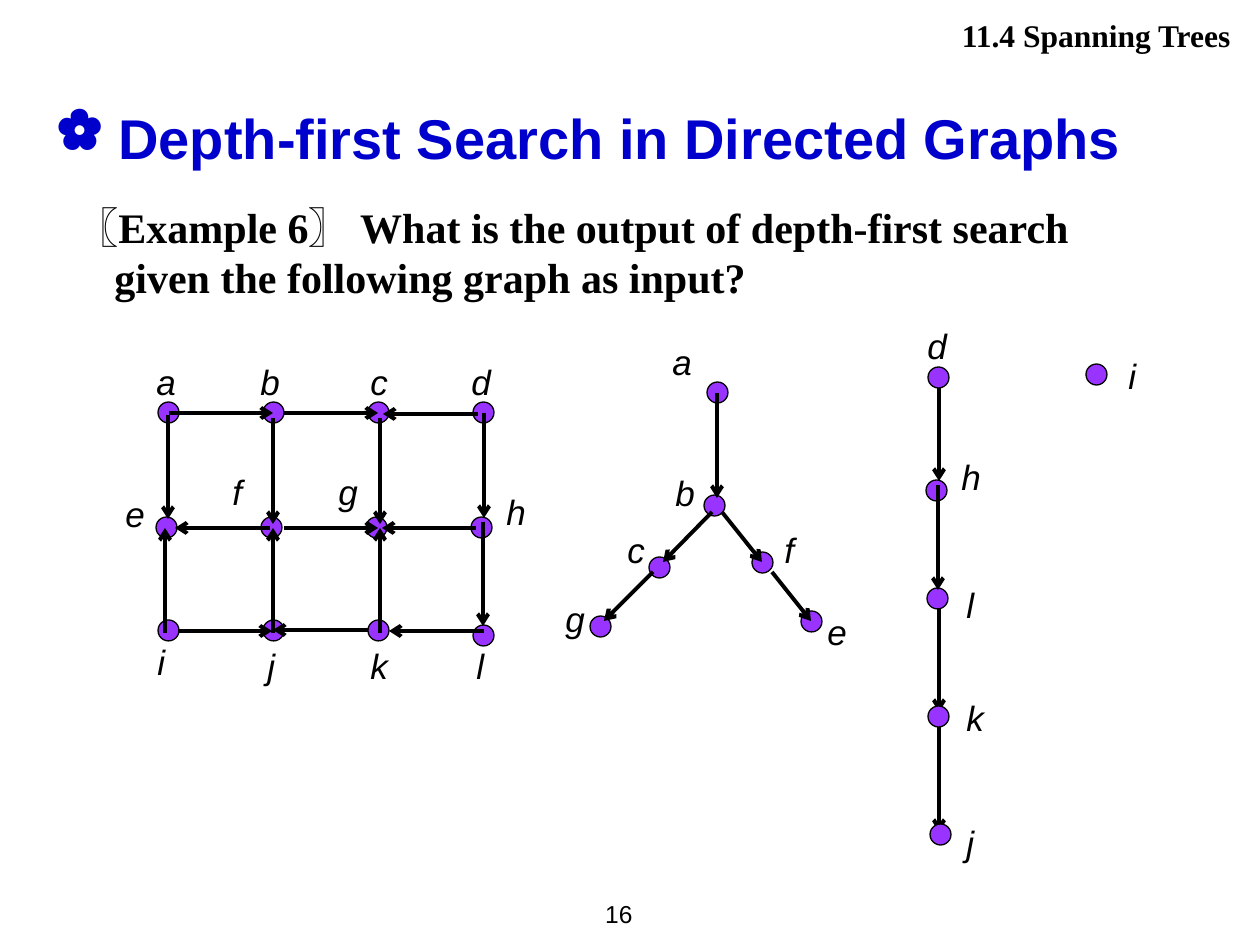
from lxml import etree
from pptx import Presentation
from pptx import util as u
from pptx.dml.color import RGBColor
from pptx.enum import shapes, text
from pptx.oxml import ns

PX = 914400 / 126
BLACK = RGBColor(0x00, 0x00, 0x00)
BLUE = RGBColor(0x00, 0x00, 0xCC)
PURPLE = RGBColor(0x99, 0x33, 0xFF)
NODE_SIZE = 21
LABEL_SIZE = (63, 55)

GRID_NODES = [
    ("a", 45, 48, 31, 0), ("b", 150, 48, 135, 0),
    ("c", 255, 48, 245, 0), ("d", 360, 48, 346, 0),
    ("e", 43, 163, 0, 132), ("f", 148, 163, 107, 110),
    ("g", 253, 163, 213, 110), ("h", 358, 163, 381, 130),
    ("i", 45, 266, 32, 280), ("j", 150, 266, 142, 284),
    ("k", 255, 266, 245, 284), ("l", 360, 271, 351, 284),
]
GRID_EDGES = [
    (56, 59, 160, 59), (171, 59, 265, 59), (365, 60, 270, 60),
    (55, 61, 55, 165), (160, 64, 160, 170), (267, 64, 267, 170),
    (371, 59, 371, 164), (157, 174, 62, 174), (171, 174, 265, 174),
    (363, 174, 269, 174), (52, 279, 52, 174), (160, 279, 160, 174),
    (267, 279, 267, 174), (370, 168, 370, 272), (65, 277, 159, 277),
    (255, 276, 160, 276), (371, 277, 276, 277),
]
TREE_NODES = [
    ("a", 154, 48, 107, 0), ("b", 151, 161, 110, 131),
    ("c", 96, 223, 62, 188), ("f", 199, 218, 219, 188),
    ("g", 37, 282, 0, 257), ("e", 248, 277, 262, 270),
]
TREE_EDGES = [
    (164, 59, 164, 164), (159, 178, 110, 228), (100, 238, 51, 287),
    (169, 178, 209, 228), (219, 238, 258, 287),
]
CHAIN_NODES = [
    ("d", 13, 49, 0, 0), ("h", 11, 162, 34, 131), ("l", 12, 270, 39, 259),
    ("k", 13, 388, 39, 372), ("j", 15, 506, 39, 497),
]
CHAIN_EDGES = [(23, 167, 23, 272)]
CHAIN_EDGES_BEHIND = [(24, 59, 24, 163), (24, 288, 24, 394), (24, 409, 24, 514)]
SINGLE_NODE = [("i", 0, 16, 30, 0)]


def px(*lengths):
    return [round(length * PX) for length in lengths]


def write_text(frame, content, size, font="Arial", color=BLACK, bold=False,
               italic=False, align=text.PP_ALIGN.LEFT,
               anchor=text.MSO_ANCHOR.TOP, wrap=True):
    frame.word_wrap = wrap
    frame.auto_size = text.MSO_AUTO_SIZE.NONE
    frame.vertical_anchor = anchor
    paragraph = frame.paragraphs[0]
    paragraph.alignment = align
    run = paragraph.add_run()
    run.text = content
    run.font.size = u.Pt(size)
    run.font.name = font
    run.font.color.rgb = color
    run.font.bold = bold
    run.font.italic = italic
    return paragraph


def add_label(slide, box, content, size, **style):
    label = slide.shapes.add_textbox(*px(*box))
    return write_text(label.text_frame, content, size, **style)


def draw_heading(slide, box):
    heading = slide.shapes.title
    heading.left, heading.top, heading.width, heading.height = px(*box)
    paragraph = write_text(heading.text_frame,
                           " Depth-first Search in Directed Graphs",
                           32, color=BLUE, bold=True)
    properties = paragraph._p.get_or_add_pPr()
    bullet_color = etree.SubElement(properties, ns.qn("a:buClr"))
    etree.SubElement(bullet_color, ns.qn("a:srgbClr"), val=str(BLUE))
    etree.SubElement(properties, ns.qn("a:buChar"), char="✿")


def draw_question(slide, box):
    paragraph = add_label(
        slide, box,
        "〖Example 6〗 What is the output of depth-first search "
        "given the following graph as input?",
        24, font="Times New Roman", bold=True)
    margin, indent = px(48, -38)
    properties = paragraph._p.get_or_add_pPr()
    properties.set("marL", str(margin))
    properties.set("indent", str(indent))


def draw_edge(slide, left, top, edge):
    x1, y1, x2, y2 = edge
    arrow = slide.shapes.add_connector(
        shapes.MSO_CONNECTOR.STRAIGHT,
        *px(left + x1, top + y1, left + x2, top + y2))
    arrow.line.color.rgb = BLACK
    arrow.line.width = u.Pt(2.25)
    properties = arrow._element.spPr
    etree.SubElement(properties.find(ns.qn("a:ln")), ns.qn("a:tailEnd"), type="arrow")
    etree.SubElement(properties, ns.qn("a:effectLst"))


def draw_graph(slide, left, top, nodes, edges=(), edges_behind=()):
    for edge in edges_behind:
        draw_edge(slide, left, top, edge)
    for name, node_x, node_y, label_x, label_y in nodes:
        node = slide.shapes.add_shape(
            shapes.MSO_SHAPE.OVAL,
            *px(left + node_x, top + node_y, NODE_SIZE, NODE_SIZE))
        node.shadow.inherit = False
        node.fill.solid()
        node.fill.fore_color.rgb = PURPLE
        node.line.color.rgb = BLACK
        node.line.width = u.Pt(0.75)
        add_label(slide, (left + label_x, top + label_y, *LABEL_SIZE),
                  name, 20, italic=True)
    for edge in edges:
        draw_edge(slide, left, top, edge)


def main():
    presentation = Presentation()
    presentation.slide_width, presentation.slide_height = px(1260, 945)
    slide = presentation.slides.add_slide(presentation.slide_layouts[5])
    add_label(slide, (561, 882, 84, 63), "16", 14, align=text.PP_ALIGN.RIGHT,
              anchor=text.MSO_ANCHOR.MIDDLE, wrap=False)
    draw_heading(slide, (44, 97, 1172, 97))
    draw_question(slide, (54, 195, 1091, 120))
    draw_graph(slide, 113, 354, GRID_NODES, GRID_EDGES)
    draw_graph(slide, 1086, 348, SINGLE_NODE)
    draw_graph(slide, 553, 334, TREE_NODES, TREE_EDGES)
    draw_graph(slide, 915, 318, CHAIN_NODES, CHAIN_EDGES, CHAIN_EDGES_BEHIND)
    add_label(slide, (501, 10, 742, 50), "11.4 Spanning Trees", 18,
              font="Times New Roman", bold=True, align=text.PP_ALIGN.RIGHT)
    presentation.save("out.pptx")


if __name__ == "__main__":
    main()
